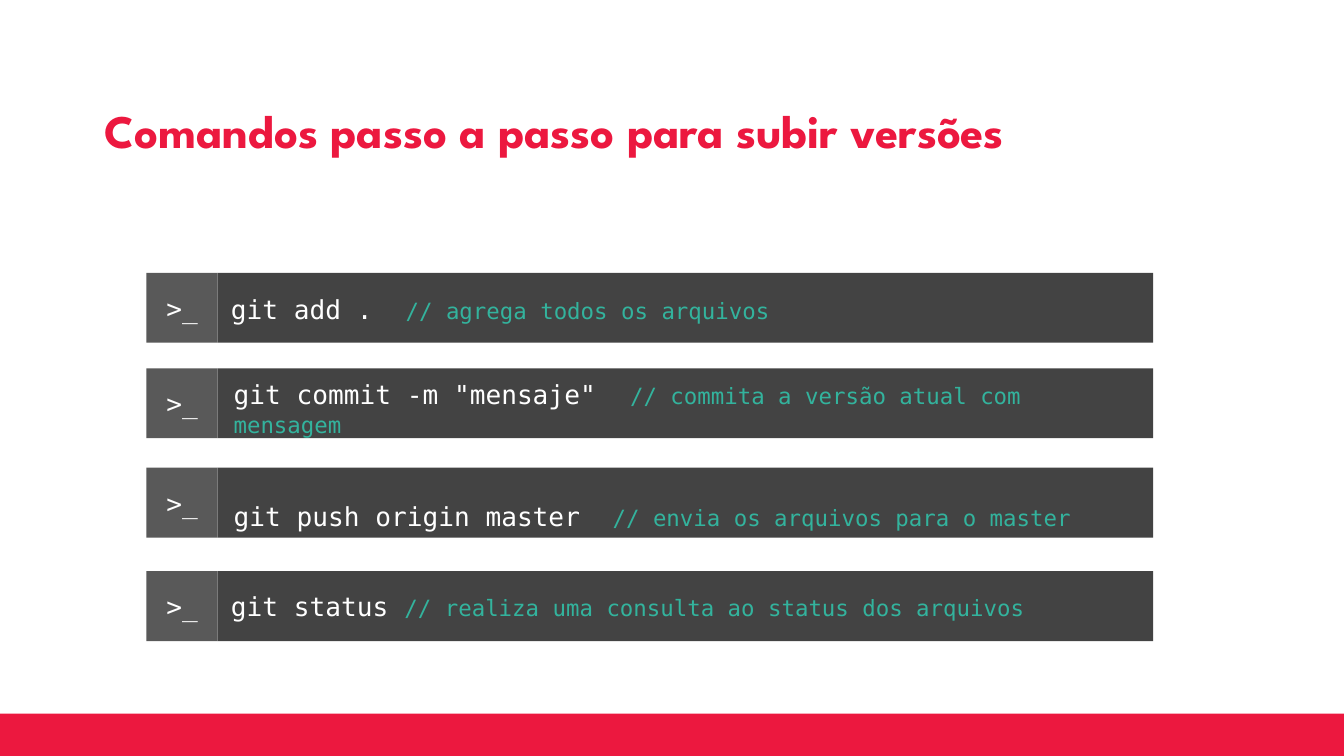
from lxml import etree
from pptx import Presentation
from pptx.dml.color import RGBColor
from pptx.enum.shapes import MSO_SHAPE
from pptx.enum.text import MSO_ANCHOR, PP_ALIGN
from pptx.oxml.ns import qn
from pptx.util import Inches, Pt

COLORS = {
    "red": "EC183F",
    "bar": "434343",
    "prompt": "595959",
    "command": "FFFFFF",
    "comment": "33B39D",
}
TITLE_FONT = "League Spartan"
CODE_FONT = "DejaVu Sans Mono"

BAR_LEFT, BAR_WIDTH, BAR_HEIGHT = 1.62, 6.96, 0.52
PROMPT_LEFT, PROMPT_WIDTH = 1.09, 0.53
ROW_TOPS = {"add": 2.03, "commit": 2.74, "push": 3.48, "status": 4.25}


class SlideBuilder:
    """Holds the style and the current slide."""

    def __init__(self, slide):
        self.slide = slide

    def set_frame(self, frame, anchor):
        frame.word_wrap = True
        frame.vertical_anchor = anchor
        frame.margin_left = frame.margin_right = Inches(0.1)
        frame.margin_top = frame.margin_bottom = Inches(0.1)

    def add_run(self, paragraph, text, size, color, font=CODE_FONT, bold=False):
        run = paragraph.add_run()
        run.text = text
        run.font.size = Pt(size)
        run.font.name = font
        run.font.bold = bold
        run.font.color.rgb = RGBColor.from_string(COLORS[color])

    def title(self, text, left, top, width, height):
        shape = self.slide.shapes.title
        shape.left, shape.top = Inches(left), Inches(top)
        shape.width, shape.height = Inches(width), Inches(height)
        self.set_frame(shape.text_frame, MSO_ANCHOR.MIDDLE)
        paragraph = shape.text_frame.paragraphs[0]
        paragraph.alignment = PP_ALIGN.LEFT
        self.add_run(paragraph, text, 25, "red", TITLE_FONT, bold=True)

    def rectangle(self, left, top, width, height, color):
        shape = self.slide.shapes.add_shape(
            MSO_SHAPE.RECTANGLE,
            Inches(left), Inches(top), Inches(width), Inches(height))
        shape.shadow.inherit = False
        shape.fill.solid()
        shape.fill.fore_color.rgb = RGBColor.from_string(COLORS[color])
        shape.line.fill.background()
        self.set_frame(shape.text_frame, MSO_ANCHOR.MIDDLE)
        return shape

    def terminal_row(self, top):
        """Draw a bar with its prompt and return the bar's text frame."""
        bar = self.rectangle(BAR_LEFT, top, BAR_WIDTH, BAR_HEIGHT, "bar")
        prompt = self.rectangle(
            PROMPT_LEFT, top, PROMPT_WIDTH, BAR_HEIGHT, "prompt")
        paragraph = prompt.text_frame.paragraphs[0]
        paragraph.alignment = PP_ALIGN.CENTER
        self.add_run(paragraph, ">_", 14, "command")
        return bar.text_frame

    def text_box(self, left, top, width, height):
        box = self.slide.shapes.add_textbox(
            Inches(left), Inches(top), Inches(width), Inches(height))
        self.set_frame(box.text_frame, MSO_ANCHOR.TOP)
        return box.text_frame

    def command(self, paragraph, command, comment, comment_stop=None):
        """Write a command and its comment, which starts at the tab stop if given."""
        paragraph.alignment = PP_ALIGN.LEFT
        if comment_stop is None:
            self.add_run(paragraph, command + " ", 14, "command")
        else:
            properties = paragraph._p.get_or_add_pPr()
            tabs = etree.SubElement(properties, qn("a:tabLst"))
            etree.SubElement(tabs, qn("a:tab"),
                             pos=str(Inches(comment_stop)), algn="l")
            self.add_run(paragraph, command, 14, "command")
            self.add_run(paragraph, "\t", 16, "command")
        self.add_run(paragraph, comment, 12, "comment")


def main():
    presentation = Presentation()
    presentation.slide_width = Inches(10)
    presentation.slide_height = presentation.slide_width * 9 // 16
    slide = presentation.slides.add_slide(presentation.slide_layouts[5])
    builder = SlideBuilder(slide)

    builder.rectangle(-0.02, 5.31, 10.03, 0.36, "red")
    builder.title("Comandos passo a passo para subir versões",
                  0.68, 0.65, 8.51, 0.63)

    bars = {name: builder.terminal_row(top) for name, top in ROW_TOPS.items()}
    builder.command(bars["add"].paragraphs[0], "git add .",
                    "// agrega todos os arquivos", 1.3)
    builder.command(bars["status"].paragraphs[0], "git status",
                    "// realiza uma consulta ao status dos arquivos")

    middle_commands = builder.text_box(1.64, 2.69, 6.73, 3.55)
    builder.command(middle_commands.paragraphs[0], 'git commit -m "mensaje"',
                    "// commita a versão atual com mensagem", 2.95)
    push = middle_commands.add_paragraph()
    push.space_before = Pt(31.5)
    builder.command(push, "git push origin master",
                    "// envia os arquivos para o master", 2.82)

    presentation.save("out.pptx")


if __name__ == "__main__":
    main()
